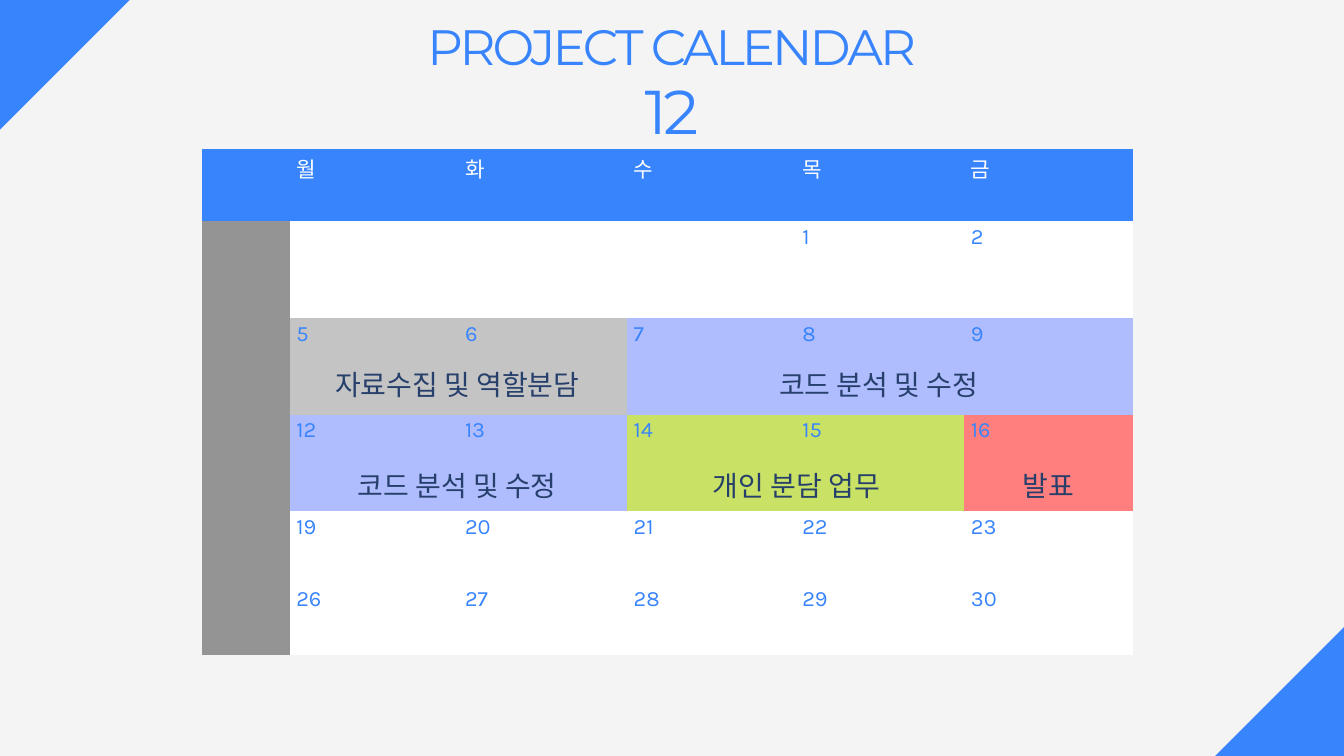
from pptx import Presentation
from pptx.dml.color import RGBColor
from pptx.enum.shapes import MSO_SHAPE
from pptx.enum.text import MSO_AUTO_SIZE, PP_ALIGN
from pptx.oxml.ns import qn
from pptx.util import Inches, Pt
from lxml import etree

RECTANGLE = MSO_SHAPE.RECTANGLE
CENTER = PP_ALIGN.CENTER
FIT_SHAPE = MSO_AUTO_SIZE.SHAPE_TO_FIT_TEXT

BLUE = "3884FD"
WHITE = "FFFFFF"
GRAY = "949494"
NAVY = "263F6B"
LILAC = "AFBDFF"
SILVER = "C4C4C4"
LIME = "C9E265"
CORAL = "FF7E7E"

WEEKDAYS = ["월", "화", "수", "목", "금"]
FIRST_DAY_OFFSET = 3
ROW_HEIGHTS = [1.07, 1.44, 1.44, 1.44, 1.07, 1.07]
COLUMN_WIDTHS = [1.3] + [2.51] * len(WEEKDAYS)
WEEK_FILLS = [
    [WHITE] * 5,
    [SILVER] * 2 + [LILAC] * 3,
    [LILAC] * 2 + [LIME] * 2 + [CORAL],
    [WHITE] * 5,
    [WHITE] * 5,
]
TASKS = [
    ("자료수집 및 역할분담", 4.39, 5.39, 4.83),
    ("코드 분석 및 수정", 9.49, 5.39, 7.17),
    ("코드 분석 및 수정", 4.39, 6.89, 4.83),
    ("개인 분담 업무", 9.49, 6.89, 4.72),
    ("발표", 14.54, 6.89, 2.13),
]


def rgb(color):
    """Return the colour for a hex string."""
    return RGBColor.from_string(color)


def format_run(run, font_name, size, color):
    """Set the font, size and colour of a run."""
    run.font.name = font_name
    run.font.size = Pt(size)
    run.font.color.rgb = rgb(color)


def add_label(slide, text, box, font_name, size, color, line_spacing, tracking=0):
    """Add a centred line of text without insets; tracking is in points."""
    shape = slide.shapes.add_textbox(*map(Inches, box))
    text_frame = shape.text_frame
    text_frame.text = text
    text_frame.word_wrap = True
    text_frame.auto_size = FIT_SHAPE
    text_frame.margin_left = text_frame.margin_right = 0
    text_frame.margin_top = text_frame.margin_bottom = 0
    paragraph = text_frame.paragraphs[0]
    paragraph.alignment = CENTER
    paragraph.line_spacing = Pt(line_spacing)
    run = paragraph.runs[0]
    format_run(run, font_name, size, color)
    if tracking:
        run.font._element.set("spc", str(round(tracking * 100)))


def add_corner(slide, left, top):
    """Add a tilted block that cuts across a slide corner."""
    shape = slide.shapes.add_shape(
        RECTANGLE, Inches(left), Inches(top), Inches(5.79), Inches(2.72)
    )
    shape.rotation = 315
    shape.shadow.inherit = False
    shape.fill.solid()
    shape.fill.fore_color.rgb = rgb(BLUE)
    shape.line.fill.background()


def style_cell(cell, fill):
    """Fill a cell and remove its borders."""
    properties = cell._tc.get_or_add_tcPr()
    for side in ("a:lnL", "a:lnR", "a:lnT", "a:lnB"):
        border = etree.SubElement(properties, qn(side), w="0")
        etree.SubElement(border, qn("a:noFill"))
    cell.fill.solid()
    cell.fill.fore_color.rgb = rgb(fill)


def write_cell(cell, text, font_name, size, color):
    """Put formatted text in a cell."""
    cell.text_frame.text = text
    format_run(cell.text_frame.paragraphs[0].runs[0], font_name, size, color)


def add_calendar(slide):
    """Add the table of weekdays and dates."""
    frame = slide.shapes.add_table(
        len(ROW_HEIGHTS), len(COLUMN_WIDTHS), Inches(3.01), Inches(2.22),
        Inches(sum(COLUMN_WIDTHS)), Inches(sum(ROW_HEIGHTS)),
    )
    table = frame.table
    for column, width in zip(table.columns, COLUMN_WIDTHS):
        column.width = Inches(width)
    for row, height in zip(table.rows, ROW_HEIGHTS):
        row.height = Inches(height)

    style_cell(table.cell(0, 0), BLUE)
    for column, weekday in enumerate(WEEKDAYS, start=1):
        cell = table.cell(0, column)
        style_cell(cell, BLUE)
        write_cell(cell, weekday, "Calibri", 22.8, WHITE)

    for week, fills in enumerate(WEEK_FILLS):
        style_cell(table.cell(week + 1, 0), GRAY)
        for column, fill in enumerate(fills, start=1):
            cell = table.cell(week + 1, column)
            style_cell(cell, fill)
            day = 7 * week + column - FIRST_DAY_OFFSET
            if day > 0:
                write_cell(cell, str(day), "Karla", 23.4, BLUE)


def main():
    """Build and save the project calendar slide."""
    presentation = Presentation()
    presentation.slide_width = Inches(20)
    presentation.slide_height = Inches(11.25)
    slide = presentation.slides.add_slide(presentation.slide_layouts[6])
    slide.background.fill.solid()
    slide.background.fill.fore_color.rgb = rgb("F4F4F4")

    add_label(slide, "PROJECT CALENDAR", (4.16, 0.39, 11.67, 0.77),
              "Montserrat", 53.2, BLUE, 52.2, -3.1)
    add_calendar(slide)
    add_corner(slide, -2.89, -1.36)
    add_corner(slide, 17.11, 9.89)
    for text, left, top, width in TASKS:
        add_label(slide, text, (left, top, width, 0.56), "Calibri", 30, NAVY, 42)
    add_label(slide, "12", (4.16, 1.28, 11.67, 0.94),
              "Montserrat", 66.2, BLUE, 64.9, -3.9)

    presentation.save("out.pptx")


if __name__ == "__main__":
    main()
